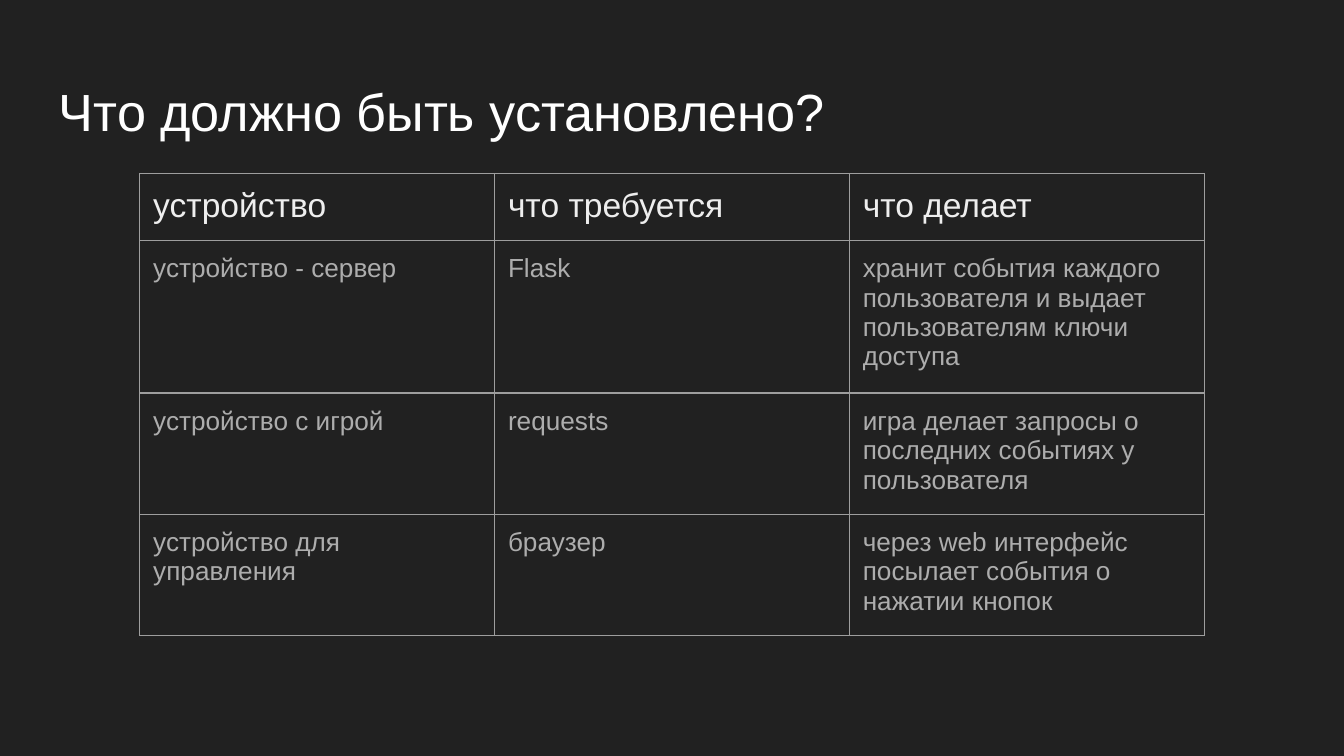
import dataclasses

import pptx
import pptx.dml.color
import pptx.oxml
import pptx.oxml.ns
import pptx.util

Inches = pptx.util.Inches
COLORS = {"background": "212121", "title": "FFFFFF", "header": "EEEEEE",
          "body": "ADADAD", "border": "9E9E9E"}
FONT = "Arial"
MARGIN = Inches(0.1)
COLUMN_WIDTH = Inches(2.64)
ROW_HEIGHT = Inches(0.42)
FRAME_SIDE = Inches(3.28)
BORDER_WIDTH = pptx.util.Pt(0.75)


@dataclasses.dataclass
class Requirement:
    """One table row: a device, what it needs and what it does."""
    device: str
    needs: str
    task: str


REQUIREMENTS = [
    Requirement("устройство", "что требуется", "что делает"),
    Requirement("устройство - сервер", "Flask",
                "хранит события каждого пользователя и выдает пользователям ключи доступа"),
    Requirement("устройство с игрой", "requests",
                "игра делает запросы о последних событиях у пользователя"),
    Requirement("устройство для управления", "браузер",
                "через web интерфейс посылает события о нажатии кнопок"),
]


def color(name: str) -> pptx.dml.color.RGBColor:
    """Look up a colour by its role."""
    return pptx.dml.color.RGBColor.from_string(COLORS[name])


def write(text_frame, text: str, size: int, role: str) -> None:
    """Set the text of a frame and format its runs."""
    text_frame.text = text
    for paragraph in text_frame.paragraphs:
        paragraph.line_spacing = 1.0
        for span in paragraph.runs:
            span.font.name = FONT
            span.font.size = pptx.util.Pt(size)
            span.font.color.rgb = color(role)


def set_margins(holder) -> None:
    """Give a cell or text frame equal margins on all sides."""
    holder.margin_left = holder.margin_right = MARGIN
    holder.margin_top = holder.margin_bottom = MARGIN


def add_borders(cell) -> None:
    """Draw thin lines on the four sides of a cell."""
    properties = cell._tc.get_or_add_tcPr()
    for index, side in enumerate(("lnL", "lnR", "lnT", "lnB")):
        properties.insert(index, pptx.oxml.parse_xml(
            f'<a:{side} {pptx.oxml.ns.nsdecls("a")} w="{BORDER_WIDTH}">'
            f'<a:solidFill><a:srgbClr val="{COLORS["border"]}"/></a:solidFill>'
            f'</a:{side}>'))


def add_title(page, text: str) -> None:
    """Add the slide heading."""
    box = page.shapes.add_textbox(Inches(0.34), Inches(0.49), Inches(9.32), Inches(0.63))
    box.text_frame.word_wrap = True
    set_margins(box.text_frame)
    write(box.text_frame, text, 28, "title")


def add_requirements(page, requirements: list[Requirement]) -> None:
    """Add the table, with the first requirement as its header row."""
    columns = len(dataclasses.fields(Requirement))
    frame = page.shapes.add_table(len(requirements), columns, Inches(1.04), Inches(1.29),
                                  FRAME_SIDE, FRAME_SIDE)
    table = frame.table
    table.first_row = table.horz_banding = False
    for table_column in table.columns:
        table_column.width = COLUMN_WIDTH
    for row, requirement in enumerate(requirements):
        table.rows[row].height = ROW_HEIGHT
        size, role = (18, "header") if row == 0 else (14, "body")
        for column, text in enumerate(dataclasses.astuple(requirement)):
            cell = table.cell(row, column)
            set_margins(cell)
            cell.fill.background()
            add_borders(cell)
            write(cell.text_frame, text, size, role)
    frame.width = frame.height = FRAME_SIDE


def main() -> None:
    """Build and save the deck."""
    deck = pptx.Presentation()
    deck.slide_width = Inches(10)
    deck.slide_height = deck.slide_width * 9 // 16
    page = deck.slides.add_slide(deck.slide_layouts[6])
    page.background.fill.solid()
    page.background.fill.fore_color.rgb = color("background")
    add_title(page, "Что должно быть установлено?")
    add_requirements(page, REQUIREMENTS)
    deck.save("out.pptx")


main()
